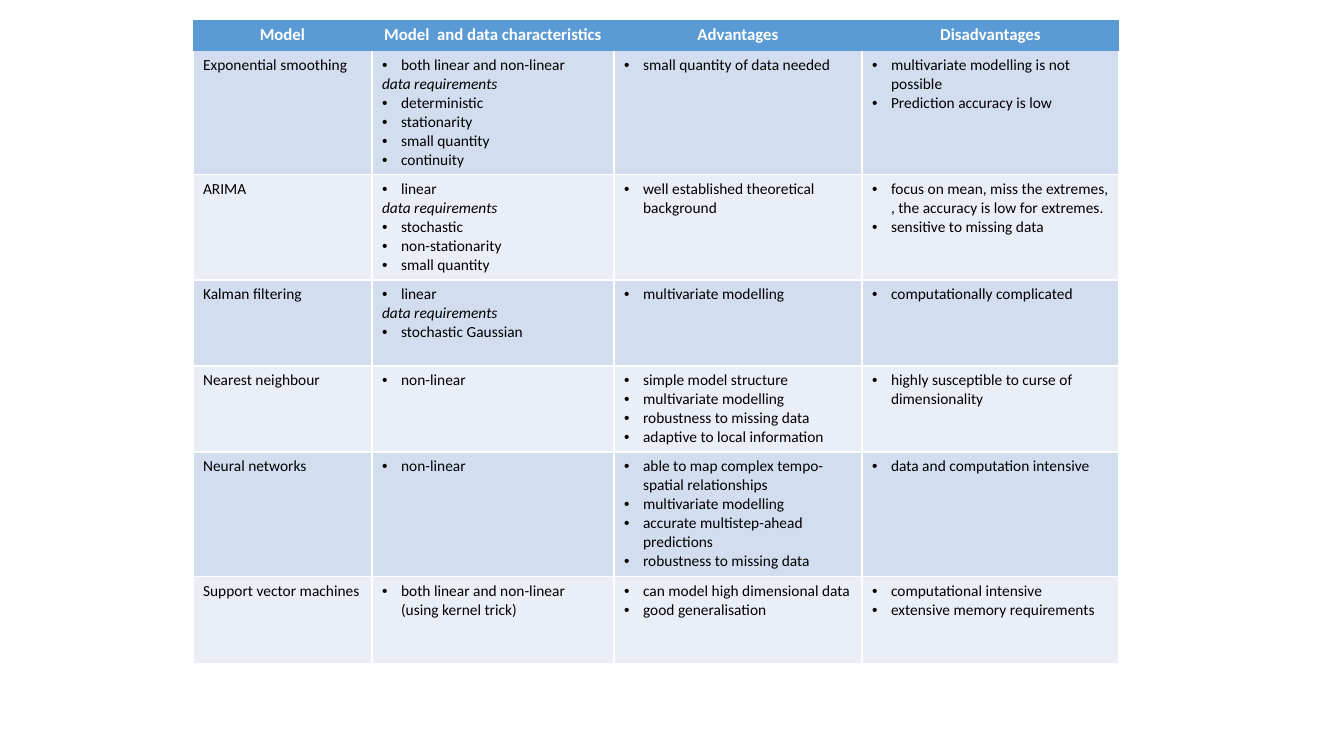
"""Build a slide with a table that compares forecasting models."""
from lxml import etree
from pptx import Presentation
from pptx.dml.color import RGBColor
from pptx.enum.text import PP_ALIGN
from pptx.oxml.ns import qn
from pptx.util import Pt

CENTER, LEFT = PP_ALIGN.CENTER, PP_ALIGN.LEFT
SCALE = 914400 / 100.8
COLORS = {"head": "5B9BD5", "dark": "D2DEEF", "light": "EAEFF7",
          "white": "FFFFFF", "black": "000000"}
HEAD = {"name": "Calibri", "size": Pt(12), "bold": True, "italic": False}
BODY = {"name": "Calibri", "size": Pt(11), "bold": False, "italic": False}
NEEDS = "data requirements"
LEFT_X, TOP_Y = 193, 20
WIDTHS = [179, 242, 248, 257]
HEIGHTS = [30, 124, 105, 86, 86, 124, 87]
TITLES = ["Model", "Model  and data characteristics", "Advantages", "Disadvantages"]
MODELS = [
    ("Exponential smoothing",
     ["both linear and non-linear", NEEDS, "deterministic", "stationarity",
      "small quantity", "continuity"],
     ["small quantity of data needed"],
     ["multivariate modelling is not possible", "Prediction accuracy is low"]),
    ("ARIMA",
     ["linear", NEEDS, "stochastic", "non-stationarity", "small quantity"],
     ["well established theoretical background"],
     ["focus on mean, miss the extremes, , the accuracy is low for extremes.",
      "sensitive to missing data"]),
    ("Kalman filtering",
     ["linear", NEEDS, "stochastic Gaussian"],
     ["multivariate modelling"],
     ["computationally complicated"]),
    ("Nearest neighbour",
     ["non-linear"],
     ["simple model structure", "multivariate modelling",
      "robustness to missing data", "adaptive to local information"],
     ["highly susceptible to curse of dimensionality"]),
    ("Neural networks",
     ["non-linear"],
     ["able to map complex tempo-spatial relationships", "multivariate modelling",
      "accurate multistep-ahead predictions", "robustness to missing data"],
     ["data and computation intensive"]),
    ("Support vector machines",
     ["both linear and non-linear (using kernel trick)"],
     ["can model high dimensional data", "good generalisation"],
     ["computational intensive", "extensive memory requirements"]),
]


def px(count):
    return round(count * SCALE)


def rgb(key):
    return RGBColor.from_string(COLORS[key])


def add_bullet(para):
    props = para._p.get_or_add_pPr()
    props.set("marL", str(px(19)))
    props.set("indent", str(-px(19)))
    etree.SubElement(props, qn("a:buFont")).set("typeface", "Arial")
    etree.SubElement(props, qn("a:buChar")).set("char", "•")


def set_borders(cell, sides):
    props = cell._tc.get_or_add_tcPr()
    for index, side in enumerate("LRTB"):
        line = etree.Element(qn("a:ln" + side), w=str(Pt(1)))
        if side in sides:
            fill = etree.SubElement(line, qn("a:solidFill"))
            etree.SubElement(fill, qn("a:srgbClr")).set("val", COLORS["white"])
        else:
            etree.SubElement(line, qn("a:noFill"))
        props.insert(index, line)


def write_line(para, text, style, color, align):
    para.alignment = align
    run = para.add_run()
    run.text = text
    for key, value in style.items():
        setattr(run.font, key, value)
    run.font.color.rgb = rgb(color)


def fill_cell(cell, fill, sides):
    cell.fill.solid()
    cell.fill.fore_color.rgb = rgb(fill)
    set_borders(cell, sides)


def write_head(cell, title):
    fill_cell(cell, "head", "")
    write_line(cell.text_frame.paragraphs[0], title, HEAD, "white", CENTER)


def write_body(cell, lines, row, listed):
    fill_cell(cell, "dark" if row % 2 else "light", "LRB" if row == 1 else "LRTB")
    frame = cell.text_frame
    for index, text in enumerate(lines):
        para = frame.add_paragraph() if index else frame.paragraphs[0]
        write_line(para, text, {**BODY, "italic": text == NEEDS}, "black", LEFT)
        if listed and text != NEEDS:
            add_bullet(para)


def add_grid(slide):
    size = px(sum(WIDTHS)), px(sum(HEIGHTS))
    grid = slide.shapes.add_table(len(HEIGHTS), len(WIDTHS),
                                  px(LEFT_X), px(TOP_Y), *size).table
    for col, width in zip(grid.columns, WIDTHS):
        col.width = px(width)
    for row, height in zip(grid.rows, HEIGHTS):
        row.height = px(height)
    return grid


def main():
    deck = Presentation()
    deck.slide_width, deck.slide_height = px(1344), px(756)
    slide = deck.slides.add_slide(deck.slide_layouts[6])
    grid = add_grid(slide)
    for col, title in enumerate(TITLES):
        write_head(grid.cell(0, col), title)
    for row, (model, *lists) in enumerate(MODELS, 1):
        for col, lines in enumerate([[model], *lists]):
            write_body(grid.cell(row, col), lines, row, col > 0)
    deck.save("out.pptx")


main()
